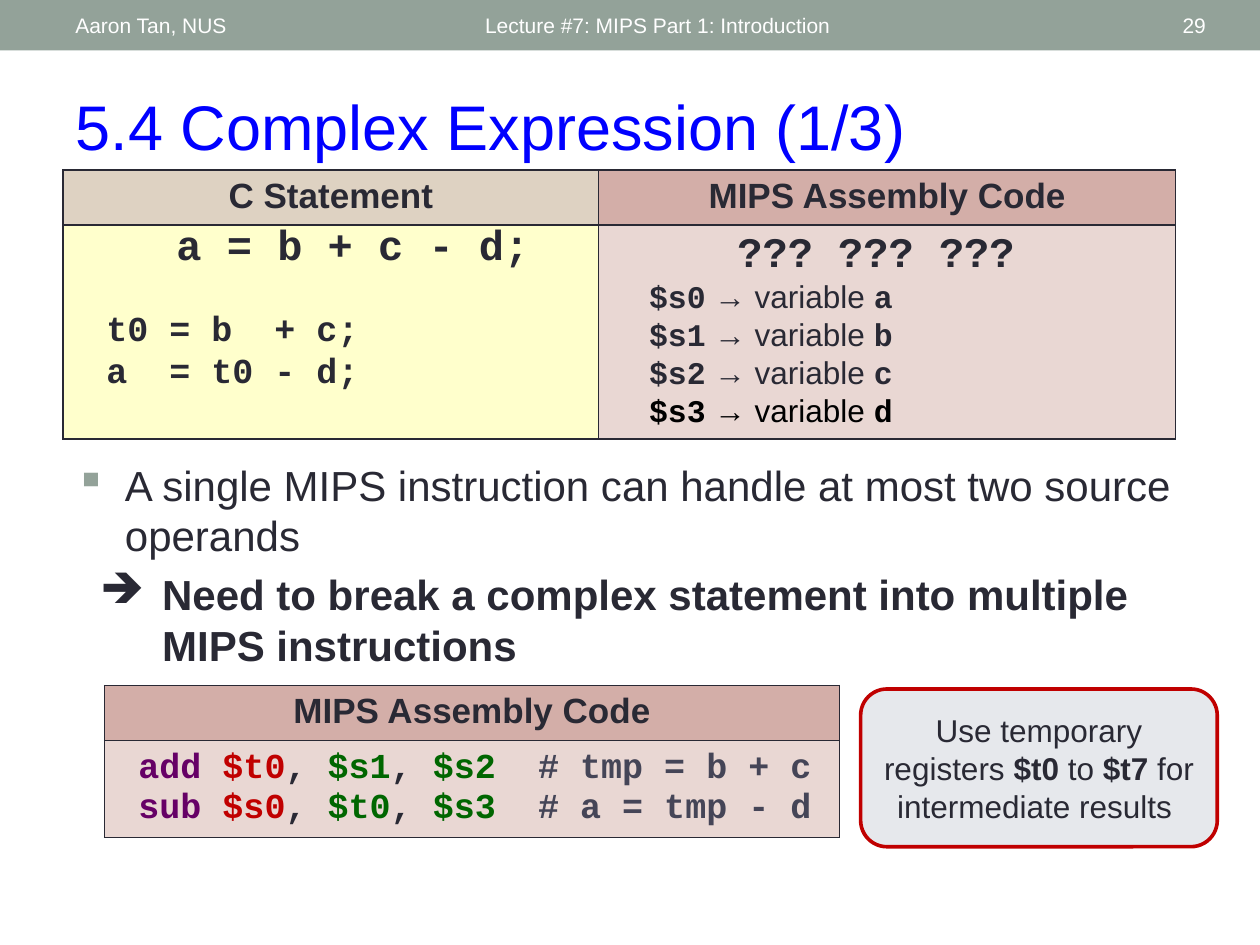
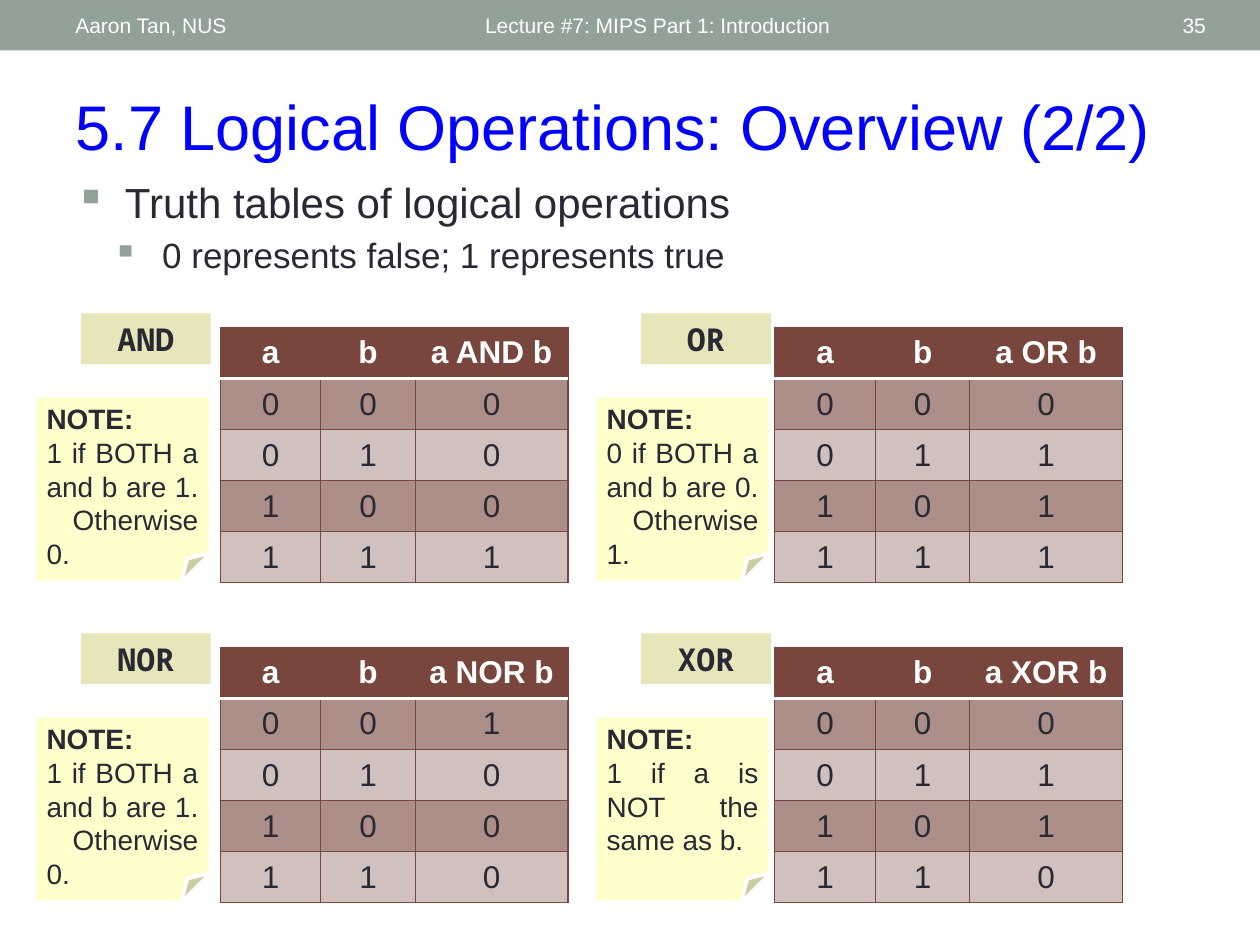
from itertools import product
from pptx import Presentation
from pptx.dml.color import RGBColor
from pptx.enum.shapes import MSO_SHAPE
from pptx.enum.text import MSO_ANCHOR, MSO_AUTO_SIZE, PP_ALIGN
from pptx.oxml.ns import qn
from pptx.util import Cm, Pt
from lxml.etree import SubElement, Element

INK, WHITE, SAGE, BLUE = "292934", "FFFFFF", "93A299", "0000FF"
RED, GREEN, PLUM, GREY = "C00000", "006600", "660066", "454557"
TAN, ROSE, PINK, CREAM = "DED2C2", "D3AEA8", "E9D7D3", "FFFFCC"
BROWN, DARK, LIGHT, KHAKI, MIST = "79463D", "AD8F8A", "D0C0BE", "E7E5BA", "E6E8EC"
SANS, MONO, LABEL = "Arial", "Courier New", "Noto Sans Mono"
LEFT, MID, RIGHT, JUST = PP_ALIGN.LEFT, PP_ALIGN.CENTER, PP_ALIGN.RIGHT, PP_ALIGN.JUSTIFY
BOLD = dict(bold=True)
CODE = dict(font=MONO, bold=True)

AUTHOR, TOPIC = "Aaron Tan, NUS", "Lecture #7: MIPS Part 1: Introduction"
TITLES = ("5.4 Complex Expression (1/3)", 29), ("5.7 Logical Operations: Overview (2/2)", 35)
HEADS = "C Statement", "MIPS Assembly Code"
GOAL = "    a = b + c - d;"
STEPS = " t0 = b  + c;", " a  = t0 - d;"
REGS = ("$s0", "a", INK), ("$s1", "b", INK), ("$s2", "c", INK), ("$s3", "d", "000000")
ASM = (("add", "$t0", "$s1", "$s2", "# tmp = b + c"),
       ("sub", "$s0", "$t0", "$s3", "# a = tmp - d"))
LIMIT = "A single MIPS instruction can handle at most two source operands"
NEED = "Need to break a complex statement into multiple MIPS instructions"
HINT = [("Use temporary registers ", {}), ("$t0 ", BOLD), ("to ", {}),
        ("$t7 ", BOLD), ("for intermediate results ", {})]
TRUTH = "Truth tables of logical operations"
VALUES = "0 represents false; 1 represents true"
OPS = (("AND", "0001", "1 if BOTH a and b are 1.  Otherwise 0."),
       ("OR", "0111", "0 if BOTH a and b are 0.  Otherwise 1."),
       ("NOR", "1000", "1 if BOTH a and b are 1.  Otherwise 0."),
       ("XOR", "0110", "1 if a is NOT the same as b."))


def rgb(code):
    return RGBColor.from_string(code)


def style(font, size, color=INK, bold=False, face=SANS):
    font.size, font.bold, font.name = Pt(size), bold, face
    font.color.rgb = rgb(color)


def add_run(para, text, size, color=INK, bold=False, font=SANS):
    run = para.add_run()
    run.text = text
    style(run.font, size, color, bold, font)


def write(frame, lines, size, align=LEFT, pitch=None):
    """Fill a frame with lines, each a list of (text, looks) runs."""
    frame.word_wrap = True
    for i, line in enumerate(lines):
        para = frame.add_paragraph() if i else frame.paragraphs[0]
        para.alignment = align
        if pitch:
            para.line_spacing = Pt(pitch)
        for text, looks in line:
            add_run(para, text, **{"size": size, **looks})
    return frame.paragraphs


def indent(para, left, hang=0):
    props = para._p.get_or_add_pPr()
    props.set("marL", str(Cm(left)))
    props.set("indent", str(-Cm(hang)))
    return props


def bullet(para, mark, color, left, hang):
    props = indent(para, left, hang)
    tint = SubElement(props, qn("a:buClr"))
    SubElement(tint, qn("a:srgbClr")).set("val", color)
    SubElement(props, qn("a:buChar")).set("char", mark)


def add_text(slide, box, lines, size, align=LEFT, anchor=MSO_ANCHOR.TOP, pitch=None):
    frame = slide.shapes.add_textbox(*map(Cm, box)).text_frame
    frame.vertical_anchor = anchor
    return write(frame, lines, size, align, pitch)


def add_box(slide, kind, box, fill, line=None):
    shape = slide.shapes.add_shape(kind, *map(Cm, box))
    shape.shadow.inherit = False
    shape.fill.solid()
    shape.fill.fore_color.rgb = rgb(fill)
    if line:
        shape.line.color.rgb, shape.line.width = rgb(line), Pt(2.08)
    else:
        shape.line.fill.background()
    return shape


def edge(cell, color, width, sides="LRTB"):
    props = cell._tc.get_or_add_tcPr()
    for side in sides:
        name = qn(f"a:ln{side}")
        old = props.find(name)
        spot = "LRTB".index(side)
        if old is not None:
            props.remove(old)
        line = Element(name, w=str(Pt(width)))
        fill = SubElement(line, qn("a:solidFill"))
        SubElement(fill, qn("a:srgbClr")).set("val", color)
        props.insert(spot, line)


def add_grid(slide, left, top, cols, rows, fills, color, width):
    """Add a table with plain fills and even borders."""
    size = Cm(left), Cm(top), Cm(sum(cols)), Cm(sum(rows))
    table = slide.shapes.add_table(len(rows), len(cols), *size).table
    table.horz_banding = False
    for col, wide in zip(table.columns, cols):
        col.width = Cm(wide)
    for row, high, tints in zip(table.rows, rows, fills):
        row.height = Cm(high)
        for cell, tint in zip(row.cells, tints):
            cell.fill.solid()
            cell.fill.fore_color.rgb = rgb(tint)
            edge(cell, color, width)
    return table


def start(deck, title, page):
    """Add a slide with its band, footers and title."""
    slide = deck.slides.add_slide(deck.slide_layouts[5])
    add_box(slide, MSO_SHAPE.RECTANGLE, (0, 0, 25.4, 1.02), SAGE)
    for text, left, wide, align in ((TOPIC, 9.53, 11.43, LEFT), (AUTHOR, 1.27, 8.05, LEFT),
                                    (str(page), 22.15, 2.41, RIGHT)):
        add_text(slide, (left, 0.05, wide, 0.91), [[(text, dict(color=WHITE))]], 12,
                 align, MSO_ANCHOR.MIDDLE)
    head = slide.shapes.title
    head.left, head.top, head.width, head.height = map(Cm, (1.27, 1.63, 23.29, 1.8))
    head.text_frame.auto_size = MSO_AUTO_SIZE.NONE
    head.text_frame.vertical_anchor = MSO_ANCHOR.TOP
    write(head.text_frame, [[(title, dict(color=BLUE))]], 36)
    return slide


def asm_line(name, dest, one, two, note):
    parts = ((f" {name} ", PLUM), (dest, RED), (", ", INK), (one, GREEN), (", ", INK),
             (f"{two}  ", GREEN), (note, GREY))
    return [(text, dict(CODE, color=color)) for text, color in parts]


def build_expr(deck):
    slide = start(deck, *TITLES[0])
    paras = add_text(slide, (1.27, 9.14, 22.86, 7.92), [[(LIMIT, {})], [(NEED, BOLD)]], 24)
    bullet(paras[0], "▪", SAGE, 1, 1)
    bullet(paras[1], "➔", INK, 1.75, 1.25)
    paras[1].space_before = Pt(4.8)

    table = add_grid(slide, 1.27, 3.43, (10.8, 11.63), (1.09, 4.32),
                     ((TAN, ROSE), (CREAM, PINK)), INK, 1)
    for i, head in enumerate(HEADS):
        write(table.cell(0, i).text_frame, [[(head, BOLD)]], 20, MID)
    write(table.cell(1, 0).text_frame, [[(GOAL, CODE)]], 24, pitch=24)
    lines = [[("??? ??? ???", dict(CODE, size=24))]]
    for reg, var, color in REGS:
        code = dict(CODE, color=color)
        lines.append([(reg, code), (" → variable ", dict(color=color)), (var, code)])
    cell = table.cell(1, 1)
    cell.vertical_anchor = MSO_ANCHOR.MIDDLE
    for i, para in enumerate(write(cell.text_frame, lines, 18)):
        indent(para, 0.76 if i else 2.54)

    table = add_grid(slide, 2.11, 13.82, (14.81,), (1.11, 1.94), ((ROSE,), (PINK,)), INK, 1)
    write(table.cell(0, 0).text_frame, [[(HEADS[1], BOLD)]], 20, MID)
    cell = table.cell(1, 0)
    cell.vertical_anchor = MSO_ANCHOR.MIDDLE
    write(cell.text_frame, [asm_line(*row) for row in ASM], 20)

    hint = add_box(slide, MSO_SHAPE.ROUNDED_RECTANGLE, (17.35, 13.89, 7.19, 3.18), MIST, RED)
    write(hint.text_frame, [HINT], 18, MID)
    add_text(slide, (1.47, 6.05, 7.21, 1.96), [[(step, CODE)] for step in STEPS], 20, pitch=24)


def add_truth(slide, left, top, name, outs):
    fills = [[tint] * 3 for tint in (BROWN, DARK, LIGHT, DARK, LIGHT)]
    table = add_grid(slide, left, top, (2.03, 1.9, 3.08), [1.03] * 5, fills, BROWN, 0.75)
    rows = [("a", "b", f"a {name} b")]
    rows += [(*pair, out) for pair, out in zip(product("01", repeat=2), outs)]
    for i, row in enumerate(rows):
        looks = {} if i else dict(color=WHITE, bold=True)
        for j, text in enumerate(row):
            cell = table.cell(i, j)
            cell.vertical_anchor = MSO_ANCHOR.MIDDLE
            write(cell.text_frame, [[(text, looks)]], 18, MID)
            if i < 2:
                edge(cell, WHITE, 2.08, "T" if i else "B")


def build_logic(deck):
    slide = start(deck, *TITLES[1])
    paras = add_text(slide, (1.27, 3.43, 22.86, 2.77),
                     [[(TRUTH, {})], [(VALUES, dict(size=20))]], 24)
    paras[1].level = 1
    paras[1].space_before = Pt(4)
    for para, left in zip(paras, (1, 1.75)):
        bullet(para, "▪", SAGE, left, 1)
    for i, (name, outs, note) in enumerate(OPS):
        row, col = divmod(i, 2)
        down, over = 6.45 * row, 11.29 * col
        add_truth(slide, 4.44 + 11.18 * col, 6.6 + down, name, outs)
        tag = add_box(slide, MSO_SHAPE.RECTANGLE, (1.63 + over, 6.32 + down, 2.62, 1.02), KHAKI)
        write(tag.text_frame, [[(name, dict(font=LABEL, bold=True))]], 18, MID)
        memo = add_box(slide, MSO_SHAPE.FOLDED_CORNER,
                       (0.69 + over, 7.98 + down, 3.56, 3.76), CREAM, WHITE)
        memo.text_frame.vertical_anchor = MSO_ANCHOR.TOP
        lines = write(memo.text_frame, [[("NOTE:", BOLD)], [(note, {})]], 16)
        lines[1].alignment = JUST


def main():
    deck = Presentation()
    deck.slide_width, deck.slide_height = Cm(25.4), Cm(19.05)
    build_expr(deck)
    build_logic(deck)
    deck.save("out.pptx")


if __name__ == "__main__":
    main()
